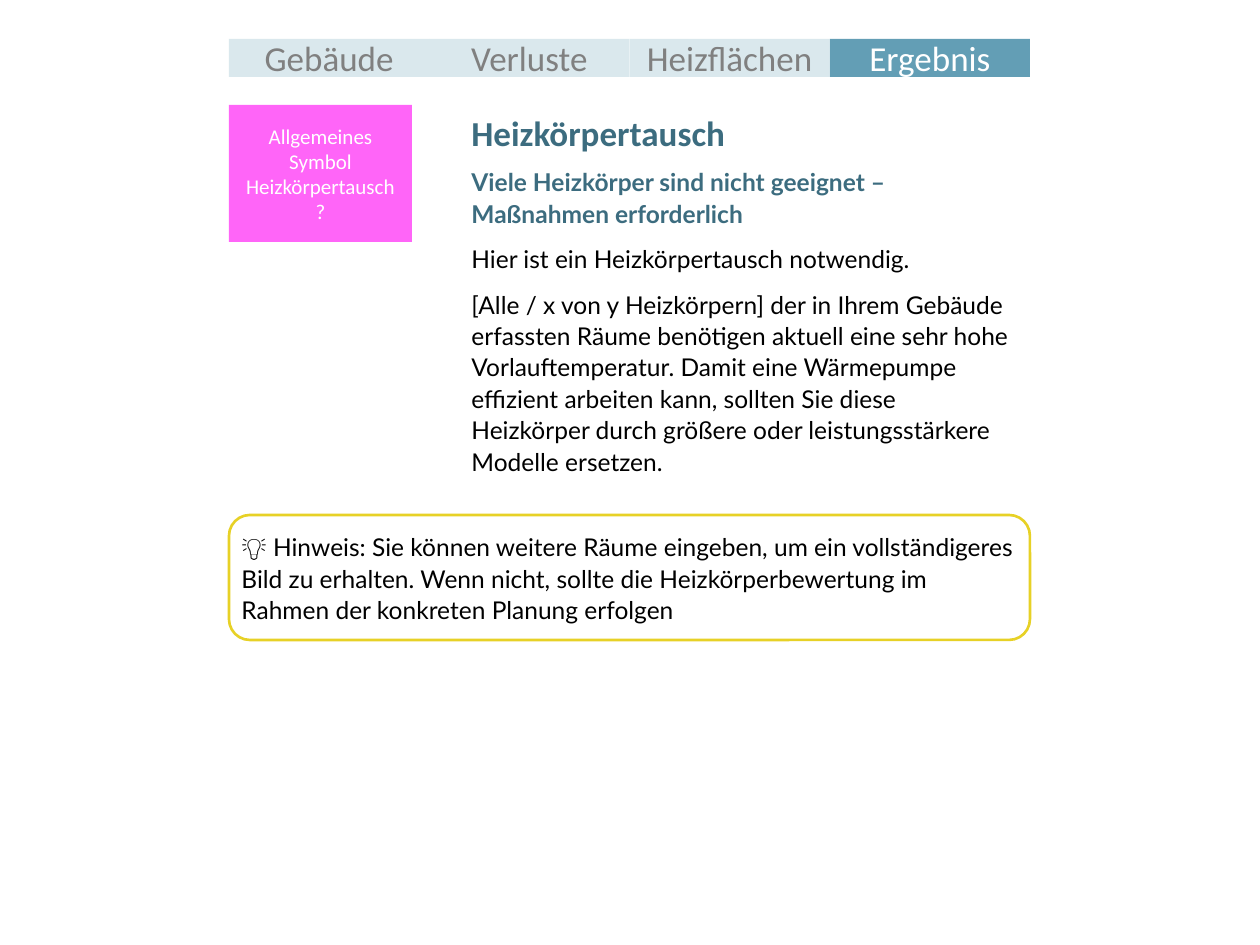
from dataclasses import dataclass

from pptx import Presentation
from pptx.dml.color import RGBColor
from pptx.enum.shapes import MSO_SHAPE
from pptx.enum.text import MSO_ANCHOR, MSO_AUTO_SIZE, PP_ALIGN
from pptx.util import Emu, Pt

RECTANGLE = MSO_SHAPE.RECTANGLE
ROUNDED = MSO_SHAPE.ROUNDED_RECTANGLE
MIDDLE = MSO_ANCHOR.MIDDLE
CENTER = PP_ALIGN.CENTER
GROW = MSO_AUTO_SIZE.SHAPE_TO_FIT_TEXT

EMU_PER_PX = 914400 / 126


@dataclass(frozen=True)
class Theme:
    tab: str = "DAE8ED"
    tab_active: str = "639EB5"
    tab_text: str = "808080"
    heading: str = "3C6C7F"
    text: str = "000000"
    white: str = "FFFFFF"
    symbol: str = "FF65F8"
    hint_line: str = "E7D126"
    label_font: str = "Calibri"
    body_font: str = "Lato"
    title_size: int = 20
    body_size: int = 14
    symbol_size: int = 12


THEME = Theme()
LEFT, WIDTH = 229, 801
TEXT_LEFT = 459
CONTENT_TOP = 105

TABS = ["Gebäude", "Verluste", "Heizflächen", "Ergebnis"]
ACTIVE_TAB = "Ergebnis"
SUBTITLE = "Viele Heizkörper sind nicht geeignet – Maßnahmen erforderlich"
BODY = [
    "Hier ist ein Heizkörpertausch notwendig.",
    "[Alle / x von y Heizkörpern] der in Ihrem Gebäude erfassten Räume "
    "benötigen aktuell eine sehr hohe Vorlauftemperatur. Damit eine "
    "Wärmepumpe effizient arbeiten kann, sollten Sie diese Heizkörper durch "
    "größere oder leistungsstärkere Modelle ersetzen.",
]
HINT = (
    "💡 Hinweis: Sie können weitere Räume eingeben, um ein vollständigeres "
    "Bild zu erhalten. Wenn nicht, sollte die Heizkörperbewertung im Rahmen "
    "der konkreten Planung erfolgen"
)


def px(value):
    return Emu(round(value * EMU_PER_PX))


def set_format(target, values):
    for name, value in values.items():
        setattr(target, name, value)


def font_format(name, size, color, bold=False):
    return {"name": name, "size": Pt(size), "bold": bold, "color": color}


def write(para, text, font, layout):
    """Put one formatted span into a paragraph."""
    set_format(para, layout)
    span = para.add_run()
    span.text = text
    set_format(span.font, {key: font[key] for key in ("name", "size", "bold")})
    span.font.color.rgb = RGBColor.from_string(font["color"])


def add_block(shapes, area, fill=None, line=None, kind=RECTANGLE):
    block = shapes.add_shape(kind, *map(px, area))
    block.shadow.inherit = False
    if fill:
        block.fill.solid()
        block.fill.fore_color.rgb = RGBColor.from_string(fill)
    else:
        block.fill.background()
    if line:
        block.line.color.rgb = RGBColor.from_string(line)
        block.line.width = Pt(1.5)
    else:
        block.line.fill.background()
    return block


def add_label(shapes, area, fill, text, font):
    """Filled rectangle with centred text."""
    frame = add_block(shapes, area, fill).text_frame
    set_format(frame, {"word_wrap": True, "vertical_anchor": MIDDLE})
    write(frame.paragraphs[0], text, font, {"alignment": CENTER})


def add_text(shapes, area, entries, layout):
    """Text box with one paragraph for each (text, font) entry."""
    frame = shapes.add_textbox(*map(px, area)).text_frame
    set_format(frame, {"word_wrap": True, "auto_size": GROW})
    for index, (text, font) in enumerate(entries):
        para = frame.add_paragraph() if index else frame.paragraphs[0]
        write(para, text, font, layout)


def add_tabs(shapes):
    group = shapes.add_group_shape()
    tab_width = WIDTH / len(TABS)
    for index, name in enumerate(TABS):
        active = name == ACTIVE_TAB
        fill = THEME.tab_active if active else THEME.tab
        color = THEME.white if active else THEME.tab_text
        area = (LEFT + index * tab_width, 39, tab_width, 38)
        font = font_format(THEME.label_font, THEME.title_size, color)
        add_label(group.shapes, area, fill, name, font)


def main():
    deck = Presentation()
    set_format(deck, {"slide_width": px(1260), "slide_height": px(945)})
    page = deck.slides.add_slide(deck.slide_layouts[6])
    shapes = page.shapes

    title = font_format(THEME.label_font, THEME.title_size, THEME.heading, True)
    subtitle = font_format(THEME.body_font, THEME.body_size, THEME.heading, True)
    body = font_format(THEME.body_font, THEME.body_size, THEME.text)
    symbol = font_format(THEME.label_font, THEME.symbol_size, THEME.white)
    body_layout = {"line_spacing": 1.07, "space_after": Pt(8)}

    # Navigation
    add_tabs(shapes)

    # Result text
    add_text(shapes, (TEXT_LEFT, CONTENT_TOP, 532, 55),
             [("Heizkörpertausch", title)], {})
    entries = [(SUBTITLE, subtitle)] + [(text, body) for text in BODY]
    add_text(shapes, (TEXT_LEFT, 159, 572, 326), entries, body_layout)

    # Symbol placeholder
    add_label(shapes, (LEFT, CONTENT_TOP, 183, 137), THEME.symbol,
              "Allgemeines Symbol Heizkörpertausch?", symbol)

    # Hint with its frame
    add_text(shapes, (LEFT, 524, WIDTH, 107), [(HINT, body)], body_layout)
    add_block(shapes, (LEFT, 515, WIDTH, 125), line=THEME.hint_line, kind=ROUNDED)

    deck.save("out.pptx")


if __name__ == "__main__":
    main()
